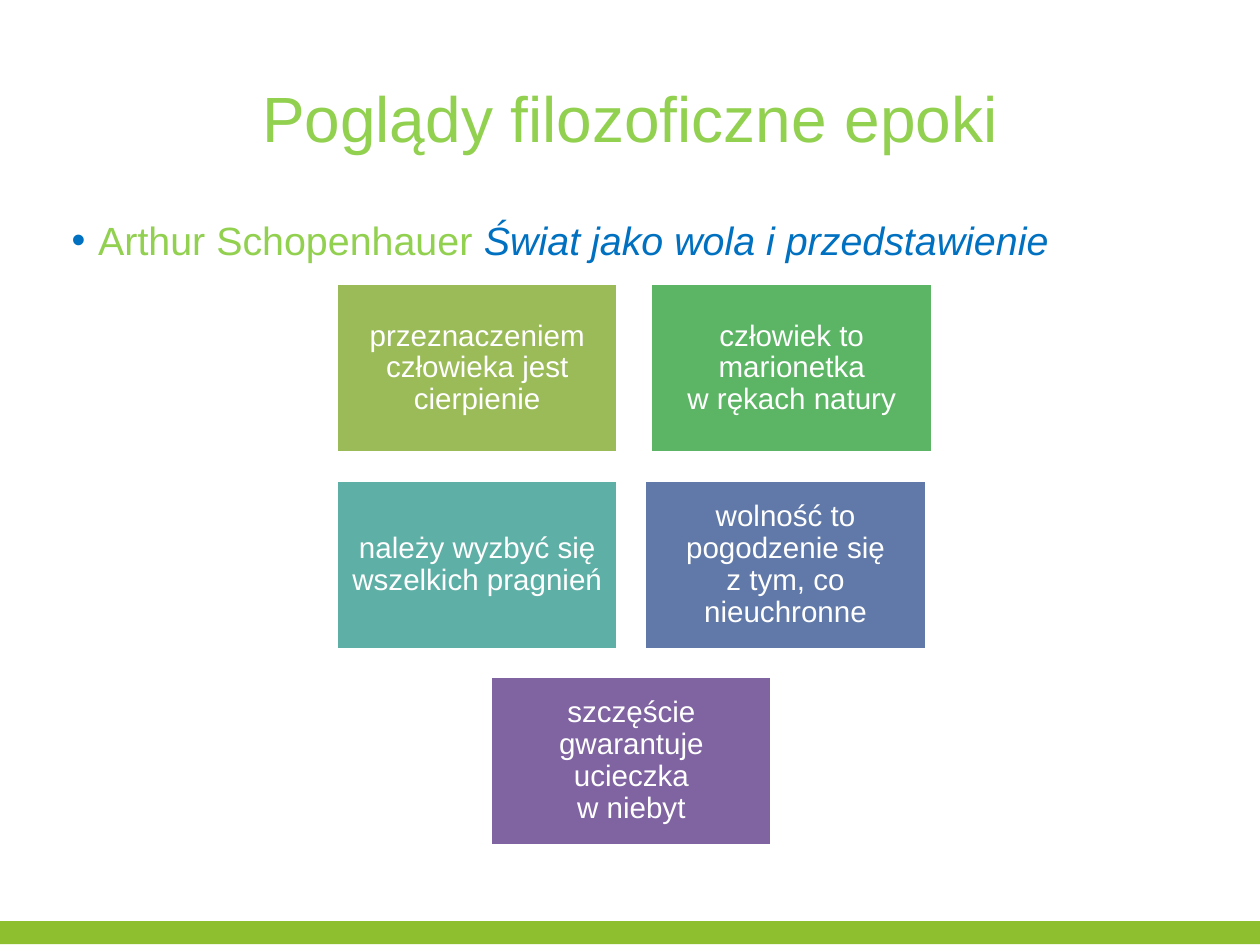
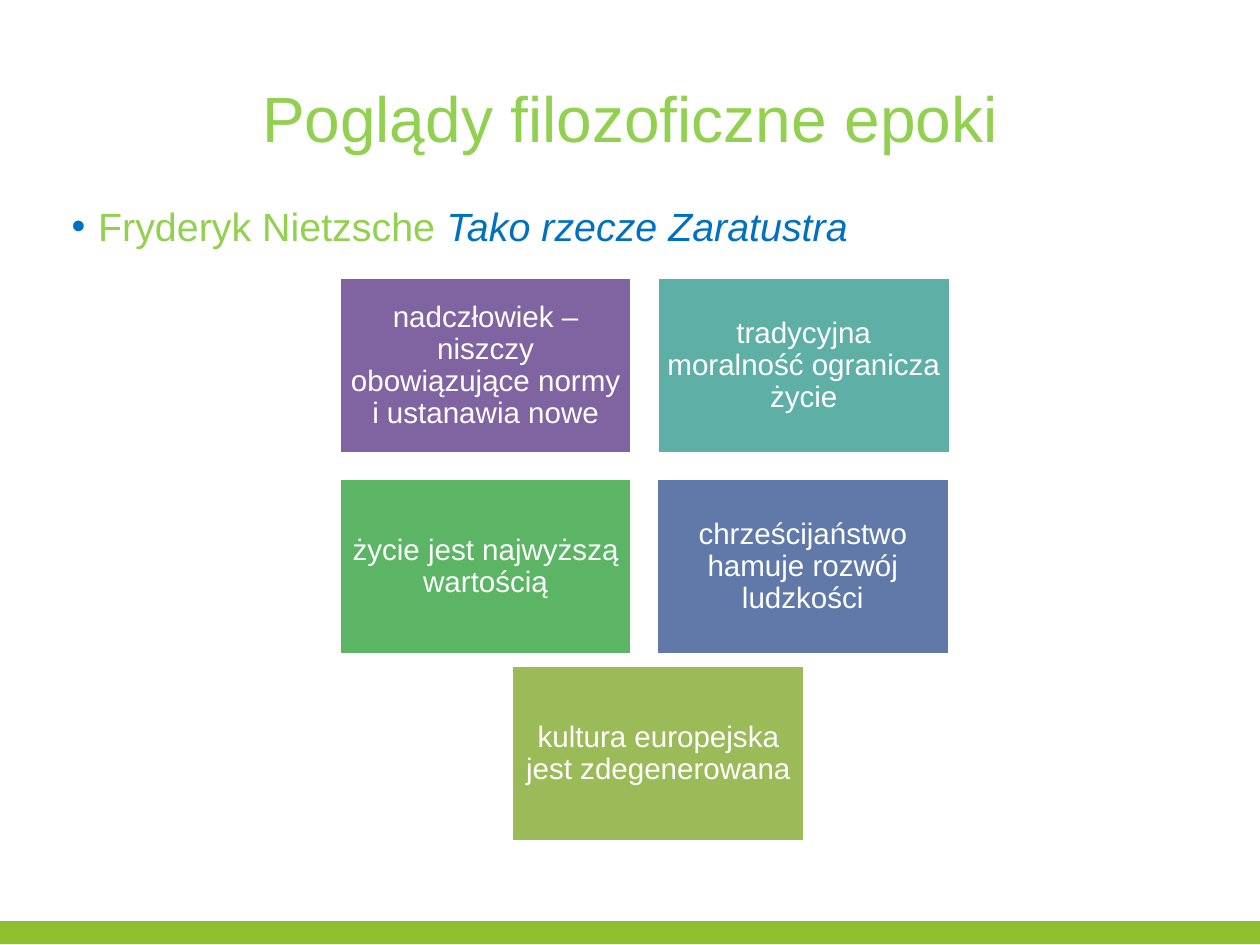
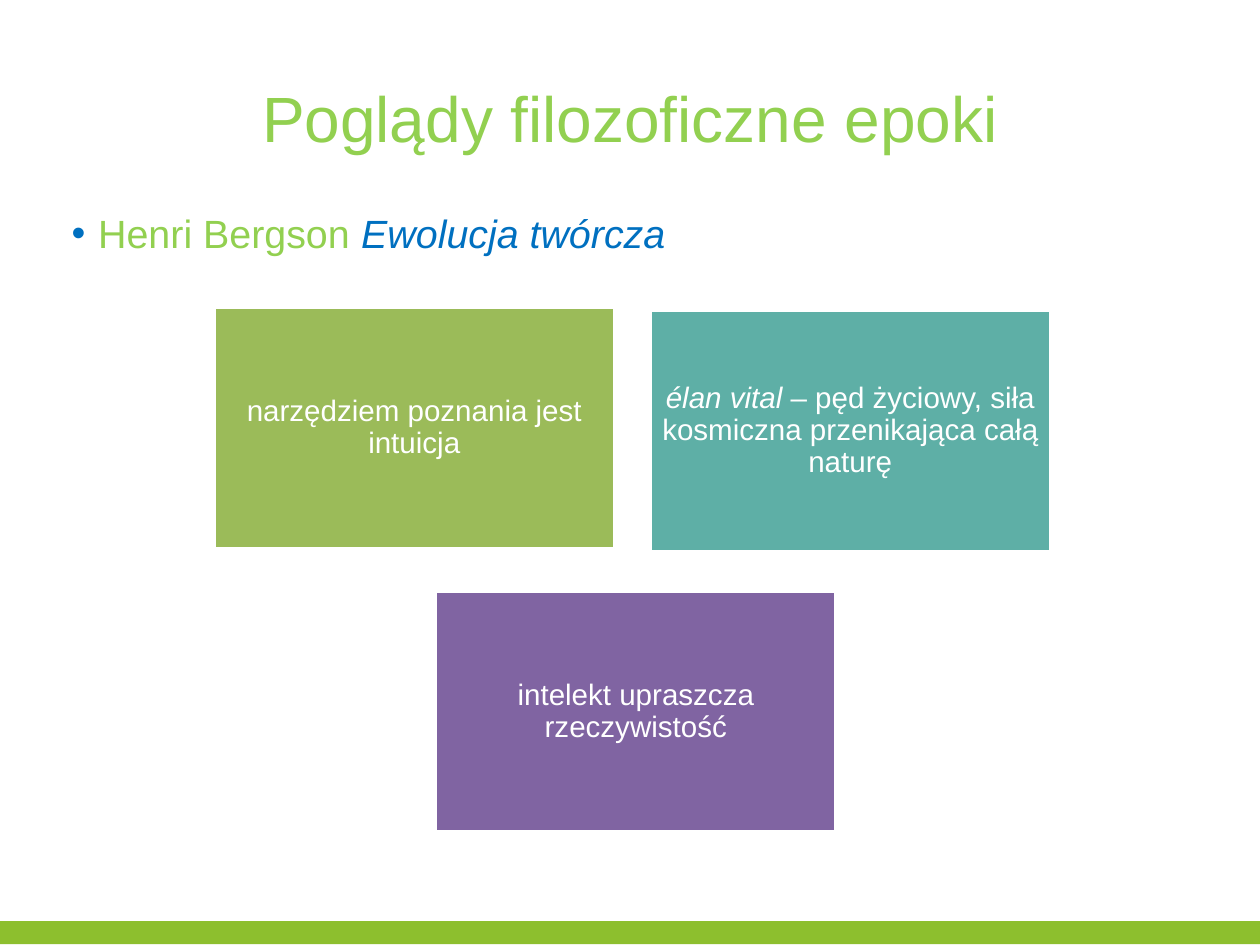
from lxml import etree
from pptx import Presentation
from pptx.dml.color import RGBColor
from pptx.enum.shapes import MSO_SHAPE
from pptx.enum.text import MSO_ANCHOR, PP_ALIGN
from pptx.oxml.ns import qn
from pptx.util import Inches, Pt

FONT = "Arial"
COLORS = {
    "white": "FFFFFF",
    "band": "8DBF2E",
    "heading": "92D050",
    "work": "0070C0",
    "olive": "9BBB59",
    "green": "5CB565",
    "teal": "5EAFA6",
    "blue": "6179A8",
    "purple": "8064A2",
}
TITLE = "Poglądy filozoficzne epoki"

SLIDES = [
    {
        "author": "Arthur Schopenhauer ",
        "work": "Świat jako wola i przedstawienie",
        "top": 2.34,
        "size": (3.17, 1.9),
        "cards": [
            (3.8, 3.21, "olive", "przeznaczeniem człowieka jest cierpienie"),
            (7.35, 3.21, "green", "człowiek to marionetka\nw rękach natury"),
            (3.8, 5.43, "teal", "należy wyzbyć się wszelkich pragnień"),
            (7.28, 5.43, "blue", "wolność to pogodzenie się\nz tym, co nieuchronne"),
            (5.54, 7.64, "purple", "szczęście gwarantuje ucieczka\nw niebyt"),
        ],
    },
    {
        "author": "Fryderyk Nietzsche ",
        "work": "Tako rzecze Zaratustra",
        "top": 2.18,
        "size": (3.3, 1.98),
        "cards": [
            (3.83, 3.14, "purple", "nadczłowiek – niszczy obowiązujące normy i ustanawia nowe"),
            (7.42, 3.14, "teal", "tradycyjna moralność ogranicza życie"),
            (3.83, 5.41, "green", "życie jest najwyższą wartością"),
            (7.41, 5.41, "blue", "chrześcijaństwo hamuje rozwój ludzkości"),
            (5.78, 7.52, "olive", "kultura europejska jest zdegenerowana"),
        ],
    },
    {
        "author": "Henri Bergson ",
        "work": "Ewolucja twórcza",
        "top": 2.26,
        "size": (4.51, 2.71),
        "cards": [
            (2.42, 3.48, "olive", "narzędziem poznania jest intuicja"),
            (7.34, 3.51, "teal", " – pęd życiowy, siła kosmiczna przenikająca całą naturę", "élan vital"),
            (4.92, 6.68, "purple", "intelekt upraszcza rzeczywistość"),
        ],
    },
]


def rgb(name):
    return RGBColor.from_string(COLORS[name])


def add_text(p, text, size=24, color="white", italic=False):
    for i, line in enumerate(text.split("\n")):
        if i:
            p.add_line_break()
        r = p.add_run()
        r.text = line
        r.font.name = FONT
        r.font.size = Pt(size)
        r.font.italic = italic
        r.font.color.rgb = rgb(color)


def add_bullet(p, color):
    pPr = p._p.get_or_add_pPr()
    pPr.set("marL", str(Inches(0.3)))
    pPr.set("indent", str(-Inches(0.3)))
    clr = etree.SubElement(pPr, qn("a:buClr"))
    etree.SubElement(clr, qn("a:srgbClr"), val=COLORS[color])
    etree.SubElement(pPr, qn("a:buFont"), typeface=FONT)
    etree.SubElement(pPr, qn("a:buChar"), char="•")


def add_rect(slide, x, y, w, h, fill):
    sp = slide.shapes.add_shape(MSO_SHAPE.RECTANGLE, Inches(x), Inches(y), Inches(w), Inches(h))
    sp.shadow.inherit = False
    sp.fill.solid()
    sp.fill.fore_color.rgb = rgb(fill)
    sp.line.fill.background()
    return sp


def add_box(slide, y, h):
    tf = slide.shapes.add_textbox(Inches(0.71), Inches(y), Inches(12.8), Inches(h)).text_frame
    tf.word_wrap = True
    return tf


def add_frame(slide):
    add_rect(slide, -0.07, 10.4, 14.35, 0.26, "band")
    tf = add_box(slide, 0.43, 1.78)
    tf.vertical_anchor = MSO_ANCHOR.MIDDLE
    p = tf.paragraphs[0]
    p.alignment = PP_ALIGN.CENTER
    add_text(p, TITLE, size=52, color="heading")


def add_heading(slide, author, work, top):
    tf = add_box(slide, top, 7.04)
    tf.margin_top = Inches(0.1)
    p = tf.paragraphs[0]
    add_bullet(p, "work")
    add_text(p, author, size=32, color="heading")
    add_text(p, work, size=32, color="work", italic=True)


def add_card(slide, size, x, y, fill, text, term=""):
    sp = add_rect(slide, x, y, *size, fill)
    sp.line.color.rgb = rgb("white")
    sp.line.width = Pt(2)
    tf = sp.text_frame
    tf.word_wrap = True
    tf.vertical_anchor = MSO_ANCHOR.MIDDLE
    tf.margin_left = tf.margin_right = tf.margin_top = tf.margin_bottom = Inches(0.1)
    p = tf.paragraphs[0]
    p.alignment = PP_ALIGN.CENTER
    p.line_spacing = 0.9
    if term:
        add_text(p, term, italic=True)
    add_text(p, text)


def main():
    prs = Presentation()
    prs.slide_width = Inches(14.22)
    prs.slide_height = Inches(10.67)
    for content in SLIDES:
        slide = prs.slides.add_slide(prs.slide_layouts[6])
        add_frame(slide)
        add_heading(slide, content["author"], content["work"], content["top"])
        for card in content["cards"]:
            add_card(slide, content["size"], *card)
    prs.save("out.pptx")


if __name__ == "__main__":
    main()
